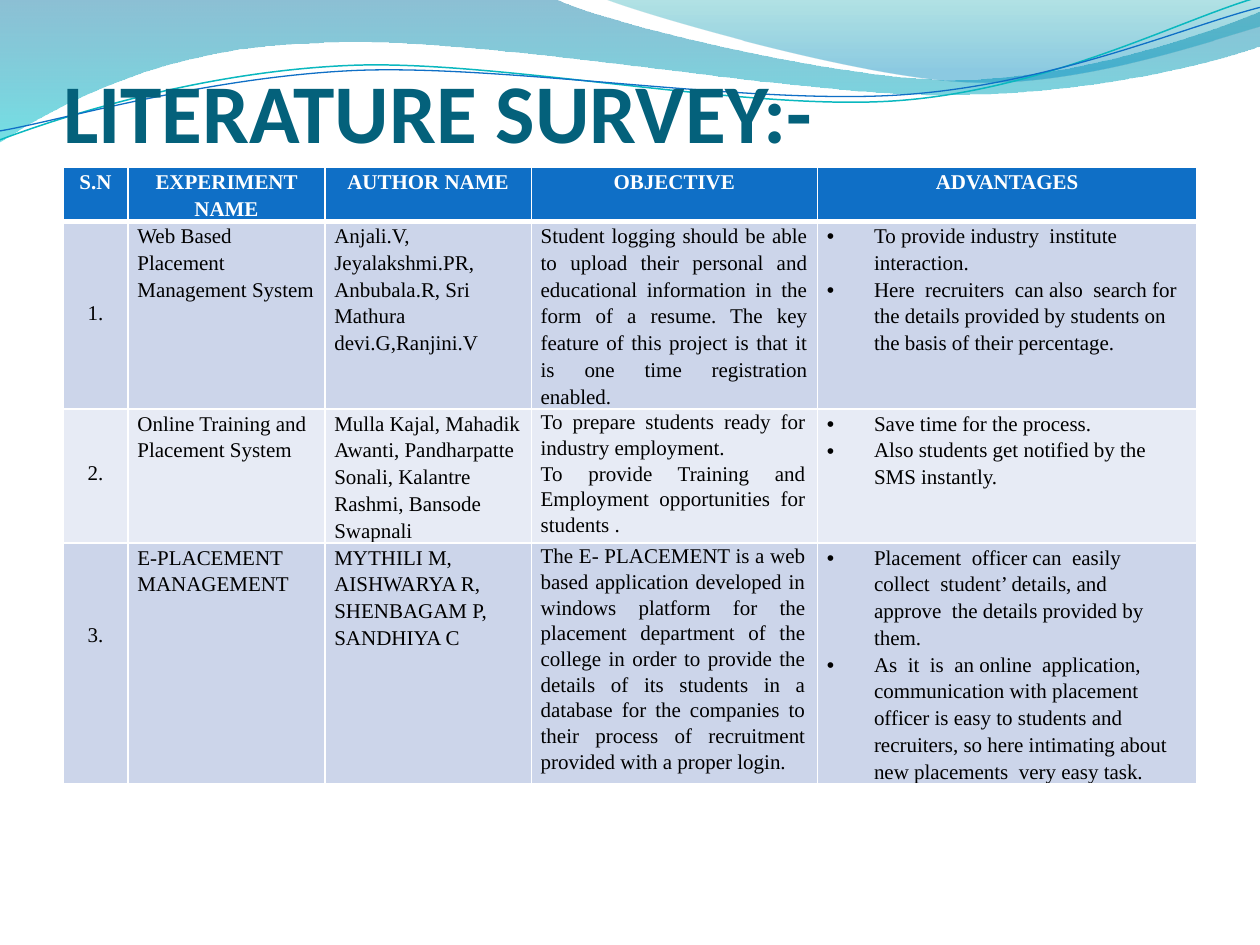
import lxml.etree
import pptx
import pptx.dml.color
import pptx.enum.dml
import pptx.enum.text
import pptx.oxml.ns
import pptx.util

Cm = pptx.util.Cm
Pt = pptx.util.Pt
ALIGN = pptx.enum.text.PP_ALIGN

COLOURS = {
    "title": "04617B", "header": "0F6FC6", "white": "FFFFFF", "text": "000000",
    "odd_row": "CCD5EA", "even_row": "E7EBF5", "aqua": "0AB8BF", "blue": "0F6FC6",
    "wave_top": "0074A1", "wave_bottom": "00C6CF",
    "crest_top": "00A1A9", "crest_bottom": "008BBF",
}

WAVE = [(0, 0), (11.18, -0.03), (12.09, 0.43, 16.87, 1.6, 19.25, 1.6),
        (21.67, 1.6, 24.33, 0.66, 25.4, 0.23), (25.43, 0.91),
        (24.97, 1.12, 22.1, 1.93, 18.95, 1.91), (15.8, 1.91, 9.7, 0.71, 6.53, 0.86),
        (3.28, 0.91, 1.17, 2.11, -0.03, 2.87), (0, 0)]
CREST = [(12.17, -0.03), (12.93, 0.28, 17.32, 1.57, 19.53, 1.65),
         (21.74, 1.75, 24.41, 0.81, 25.4, 0.53), (25.4, 0), (12.17, -0.03)]
AQUA_LINE = [(0, 2.82), (1.22, 2.36, 4.01, 1.45, 7.04, 1.32),
             (10.03, 1.19, 15.06, 2.26, 18.11, 2.03),
             (21.16, 1.8, 23.83, 0.38, 25.35, -0.05)]
BLUE_LINE = [(0, 2.64), (1.19, 2.44, 4.17, 1.55, 7.19, 1.42),
             (10.24, 1.3, 15.16, 2.13, 18.21, 1.91),
             (21.23, 1.7, 23.9, 0.53, 25.4, 0.15)]

COLUMN_WIDTHS = [1.31, 3.97, 4.16, 5.77, 7.65]
ROW_HEIGHT = 1.04
HEADINGS = ["S.N", "EXPERIMENT NAME", "AUTHOR NAME", "OBJECTIVE", "ADVANTAGES"]
NUMBER_OFFSETS = [1.56, 1.56 - 0.56, 1.56]
OBJECTIVE_FORMATS = [(1.15, 0.2), (1.1, 0.24), (1.1, 0.24)]
SURVEYS = [
    ("1.", "Web Based Placement Management System",
     "Anjali.V, Jeyalakshmi.PR, Anbubala.R, Sri Mathura devi.G,Ranjini.V",
     ["Student logging should be able to upload their personal and educational "
      "information in the form of a resume. The key feature of this project is that "
      "it is one time registration enabled."],
     ["To provide industry  institute interaction.",
      "Here  recruiters  can also  search for  the details provided by students on "
      "the basis of their percentage."]),
    ("2.", "Online Training and Placement System",
     "Mulla Kajal, Mahadik Awanti, Pandharpatte Sonali, Kalantre Rashmi, Bansode Swapnali",
     ["To prepare students ready for industry employment.",
      "To provide Training and Employment opportunities for students ."],
     ["Save time for the process.",
      "Also students get notified by the SMS instantly."]),
    ("3.", "E-PLACEMENT MANAGEMENT",
     "MYTHILI M, AISHWARYA R, SHENBAGAM P, SANDHIYA C",
     ["The E- PLACEMENT is a web based application developed in windows platform for "
      "the placement department of the college in order to provide the details of its "
      "students in a database for the companies to their process of recruitment "
      "provided with a proper login."],
     ["Placement  officer can  easily  collect  student’ details, and\t approve  the "
      "details provided by them.",
      "As  it  is  an online  application, communication with placement officer is easy "
      "to students and recruiters, so here intimating about new placements  very easy "
      "task."]),
]


def colour(name):
    """Return the named colour."""
    return pptx.dml.color.RGBColor.from_string(COLOURS[name])


def add_element(parent, tag, **attributes):
    """Append a drawing element with its attributes."""
    element = lxml.etree.SubElement(parent, pptx.oxml.ns.qn(tag))
    for name, value in attributes.items():
        element.set(name, str(value))
    return element


def add_outline(slide, segments, close):
    """Add a freeform whose six-number segments are cubic curves."""
    points = [(Cm(segment[i]), Cm(segment[i + 1]))
              for segment in segments for i in range(0, len(segment), 2)]
    builder = slide.shapes.build_freeform(*points[0], scale=1.0)
    builder.add_line_segments(points[1:], close=close)
    shape = builder.convert_to_shape()
    shape.shadow.inherit = False
    lines = iter(shape.element.findall(".//" + pptx.oxml.ns.qn("a:lnTo")))
    for segment in segments[1:]:
        line = next(lines)
        if len(segment) == 6:
            line.tag = pptx.oxml.ns.qn("a:cubicBezTo")
            for extra in (next(lines), next(lines)):
                line.append(extra[0])
                extra.getparent().remove(extra)
    return shape


def add_wave(slide, segments, stops):
    """Add a wave with a translucent downward gradient."""
    shape = add_outline(slide, segments, True)
    shape.line.fill.background()
    shape.fill.gradient()
    shape.fill.gradient_angle = 270
    for stop, (position, name, _) in zip(shape.fill.gradient_stops, stops):
        stop.position = position
        stop.color.rgb = colour(name)
    gradient = shape.element.spPr.find(pptx.oxml.ns.qn("a:gradFill"))
    stop_colours = gradient.findall(".//" + pptx.oxml.ns.qn("a:srgbClr"))
    for element, (_, _, opacity) in zip(stop_colours, stops):
        add_element(element, "a:alpha", val=opacity * 1000)


def add_curve(slide, segments, name, width):
    """Add an open curved line."""
    shape = add_outline(slide, segments, False)
    shape.fill.background()
    shape.line.color.rgb = colour(name)
    shape.line.width = Pt(width)


def add_text(paragraph, text, size, font, name, bold=False):
    """Add one formatted run."""
    run = paragraph.add_run()
    run.text = text
    run.font.size = Pt(size)
    run.font.name = font
    run.font.bold = bold
    run.font.color.rgb = colour(name)


def format_title(slide, text):
    """Place and fill the title above the waves."""
    title = slide.shapes.title
    title.left, title.top, title.width, title.height = Cm(1.27), Cm(1.19), Cm(22.86), Cm(3.94)
    frame = title.text_frame
    frame.word_wrap = True
    frame.auto_size = pptx.enum.text.MSO_AUTO_SIZE.NONE
    frame.vertical_anchor = pptx.enum.text.MSO_ANCHOR.BOTTOM
    frame.margin_left = frame.margin_right = 0
    frame.margin_top, frame.margin_bottom = Cm(0.13), Cm(1.89)
    frame.paragraphs[0].alignment = ALIGN.LEFT
    add_text(frame.paragraphs[0], text, 47.7, "Calibri", "title", True)
    title.element.getparent().append(title.element)


def set_borders(cell):
    """Draw white borders around a heading cell."""
    properties = cell._tc.get_or_add_tcPr()
    for side, width in (("L", 1), ("R", 1), ("T", 1), ("B", 3)):
        line = add_element(properties, "a:ln" + side, w=Pt(width))
        add_element(add_element(line, "a:solidFill"), "a:srgbClr", val=COLOURS["white"])


def set_bullet(paragraph):
    """Give a paragraph a hanging bullet and tab stops."""
    properties = paragraph._p.get_or_add_pPr()
    properties.set("marL", str(Cm(0.95)))
    properties.set("indent", str(-Cm(0.95)))
    add_element(properties, "a:buFont", typeface="Arial")
    add_element(properties, "a:buChar", char="•")
    tabs = add_element(properties, "a:tabLst")
    for position in (5.18, 9.5):
        add_element(tabs, "a:tab", pos=Cm(position), algn="l")


def fill_cell(cell, texts, fill, align=ALIGN.LEFT, spacing=1.15, offset=0,
              right=0.19, bullets=False, header=False):
    """Write the paragraphs of a table cell and format it."""
    if header:
        set_borders(cell)
    cell.fill.solid()
    cell.fill.fore_color.rgb = colour(fill)
    cell.margin_left, cell.margin_right = Cm(0.19), Cm(right)
    cell.margin_top, cell.margin_bottom = Cm(offset), 0
    frame = cell.text_frame
    for index, text in enumerate(texts):
        paragraph = frame.add_paragraph() if index else frame.paragraphs[0]
        paragraph.alignment = align
        paragraph.line_spacing = spacing
        if bullets:
            set_bullet(paragraph)
        add_text(paragraph, text, 12, "Times New Roman",
                 "white" if header else "text", header)


def add_survey_table(slide):
    """Add the table of surveyed systems."""
    frame = slide.shapes.add_table(len(SURVEYS) + 1, len(COLUMN_WIDTHS), Cm(1.27),
                                   Cm(3.38), Cm(sum(COLUMN_WIDTHS)), Cm(13.44))
    table = frame.table
    for column, width in zip(table.columns, COLUMN_WIDTHS):
        column.width = Cm(width)
    for row in table.rows:
        row.height = Cm(ROW_HEIGHT)
    frame.height = Cm(13.44)
    for index, heading in enumerate(HEADINGS):
        fill_cell(table.cell(0, index), [heading], "header", ALIGN.CENTER, header=True)
    rows = zip(SURVEYS, NUMBER_OFFSETS, OBJECTIVE_FORMATS)
    for row, (survey, offset, (spacing, right)) in enumerate(rows, 1):
        number, experiment, authors, objectives, advantages = survey
        fill = "odd_row" if row % 2 else "even_row"
        fill_cell(table.cell(row, 0), [number], fill, ALIGN.CENTER, offset=offset)
        fill_cell(table.cell(row, 1), [experiment], fill)
        fill_cell(table.cell(row, 2), [authors], fill)
        fill_cell(table.cell(row, 3), objectives, fill, ALIGN.JUSTIFY, spacing, right=right)
        fill_cell(table.cell(row, 4), advantages, fill, right=0.24, bullets=True)


def main():
    """Build and save the literature survey slide."""
    presentation = pptx.Presentation()
    presentation.slide_width, presentation.slide_height = Cm(25.4), Cm(19.05)
    slide = presentation.slides.add_slide(presentation.slide_layouts[5])
    add_wave(slide, WAVE, [(0, "wave_top", 45), (1, "wave_bottom", 55)])
    add_wave(slide, CREST, [(0, "crest_top", 30), (0.8, "crest_bottom", 45)])
    add_curve(slide, AQUA_LINE, "aqua", 0.85)
    add_curve(slide, BLUE_LINE, "blue", 0.75)
    format_title(slide, "LITERATURE SURVEY:-")
    add_survey_table(slide)
    presentation.save("out.pptx")


main()
